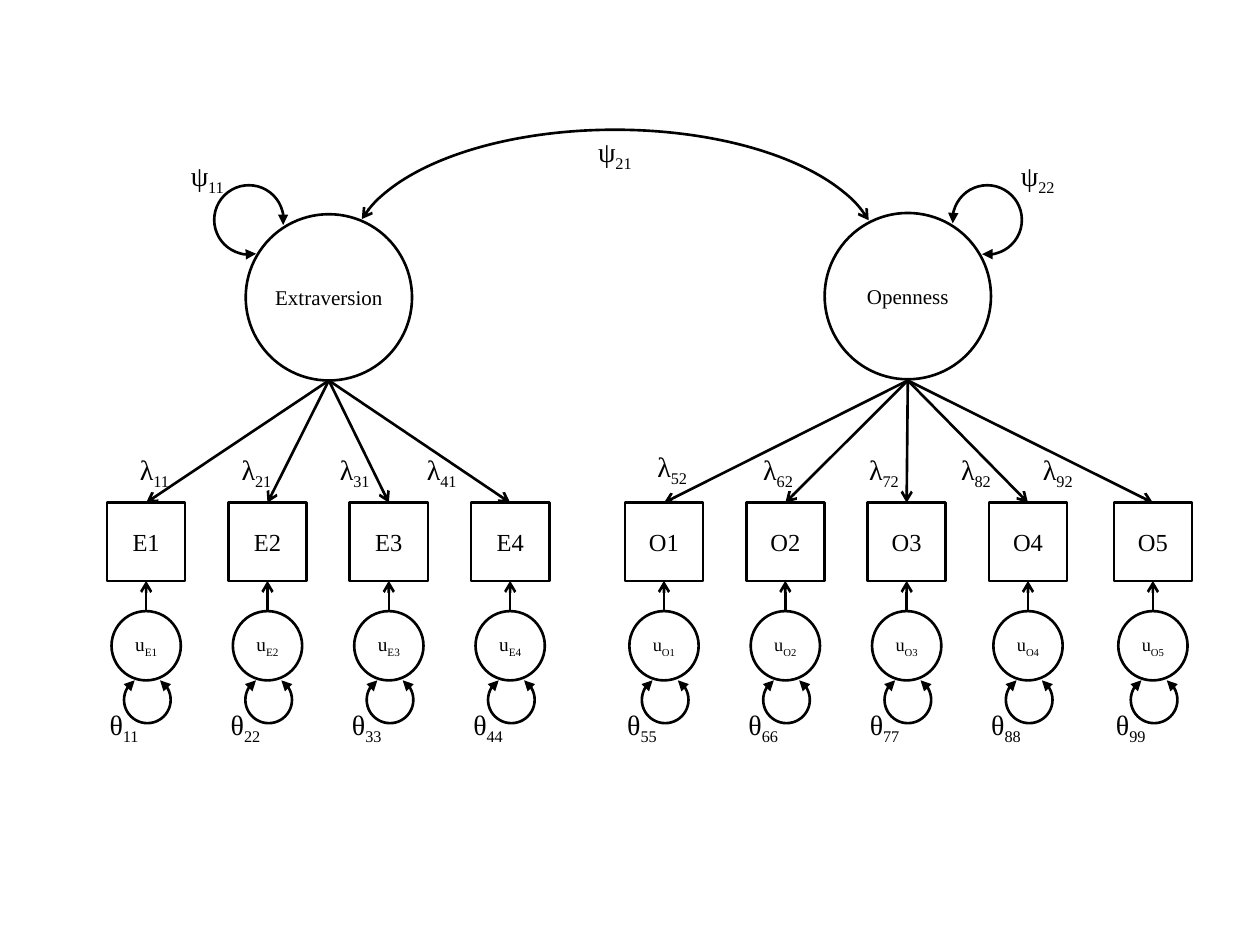
from lxml.etree import SubElement
from pptx import Presentation
from pptx.dml.color import RGBColor
from pptx.enum.shapes import MSO_CONNECTOR as CONN, MSO_SHAPE as SHAPE
from pptx.enum.text import MSO_ANCHOR as ANCHOR, MSO_AUTO_SIZE as AUTO, PP_ALIGN as ALIGN
from pptx.oxml.ns import qn
from pptx.util import Inches, Pt

COLORS = {"ink": "000000", "paper": "FFFFFF"}
FONT = "Times New Roman"
COLS, ROWS = 100, 75


def write(tf, text, sub="", size=16):
    tf.word_wrap = False
    p = tf.paragraphs[0]
    p.alignment = ALIGN.CENTER
    for part, baseline in ((text, None), (sub, "-25000")):
        if not part:
            continue
        r = p.add_run()
        r.text = part
        r.font.name, r.font.size = FONT, Pt(size)
        r.font.color.rgb = RGBColor.from_string(COLORS["ink"])
        if baseline:
            r.font._element.set("baseline", baseline)


class PathDiagram:
    def __init__(self, prs):
        self.slide = prs.slides.add_slide(prs.slide_layouts[6])
        self.shapes = self.slide.shapes
        self.cell_w = prs.slide_width / COLS
        self.cell_h = prs.slide_height / ROWS

    def start_group(self):
        self.shapes = self.slide.shapes.add_group_shape().shapes

    def end_group(self):
        self.shapes = self.slide.shapes

    def point(self, col, row):
        return round(col * self.cell_w), round(row * self.cell_h)

    def centred(self, col, row, w, h):
        return *self.point(col - w / 2, row - h / 2), *self.point(w, h)

    def stroke(self, sp, head=None, tail=None):
        sp.line.color.rgb = RGBColor.from_string(COLORS["ink"])
        sp.line.width = Pt(1.5)
        ln = sp.line._get_or_add_ln()
        for tag, kind in (("a:headEnd", head), ("a:tailEnd", tail)):
            if kind:
                SubElement(ln, qn(tag)).set("type", kind)

    def node(self, shape, col, row, size, text, sub="", font_size=14, inset=0.1):
        sp = self.shapes.add_shape(shape, *self.centred(col, row, size, size))
        sp.shadow.inherit = False
        sp.fill.solid()
        sp.fill.fore_color.rgb = RGBColor.from_string(COLORS["paper"])
        self.stroke(sp)
        tf = sp.text_frame
        tf.vertical_anchor = ANCHOR.MIDDLE
        tf.margin_left = tf.margin_right = Inches(inset)
        write(tf, text, sub, font_size)

    def arc(self, col, row, w, h, angles, rotation=0, ends="triangle"):
        sp = self.shapes.add_shape(SHAPE.ARC, *self.centred(col, row, w, h))
        sp.shadow.inherit = False
        sp.fill.background()
        sp.rotation = rotation
        sp.adjustments[0], sp.adjustments[1] = angles
        self.stroke(sp, ends, ends)

    def arrow(self, start, end):
        sp = self.shapes.add_connector(CONN.STRAIGHT, *self.point(*start), *self.point(*end))
        self.stroke(sp, tail="arrow")
        SubElement(sp._element.spPr, qn("a:effectLst"))

    def label(self, col, top, symbol, sub, w=5.1, h=3.7):
        sp = self.shapes.add_textbox(*self.centred(col, top + h / 2, w, h))
        write(sp.text_frame, symbol, sub)
        sp.text_frame.auto_size = AUTO.SHAPE_TO_FIT_TEXT

    def indicator(self, col, name, theta, font_size, theta_h):
        self.node(SHAPE.RECTANGLE, col, 43, 6.2, name)
        self.arrow((col, 48.5), (col, 46.1))
        self.node(SHAPE.OVAL, col, 51.25, 5.5, "u", name, font_size)
        self.arc(col + 0.1, 55.55, 3.7, 3.7, (181.77, 142.28))
        self.label(col - 1.75, 55.7, "θ", theta, w=4.6, h=theta_h)

    def factor(self, name, col, row, number, loop, psi_col, items, loadings, first, u_size, theta_h):
        for item_col in items:
            self.arrow((col, 30.2), (item_col, 39.9))
        self.node(SHAPE.OVAL, col, row, 13.2, name, font_size=12, inset=0)
        loop_col, rotation, angles = loop
        self.arc(loop_col, 17.45, 5.5, 5.5, angles, rotation)
        self.label(psi_col, 12.1, "ψ", f"{number}{number}")
        for i, (label_col, top) in enumerate(loadings, first):
            self.label(label_col, top, "λ", f"{i}{number}")
        self.start_group()
        for i, item_col in enumerate(items):
            theta = f"{first + i}{first + i}"
            self.indicator(item_col, f"{name[0]}{i + 1}", theta, u_size, theta_h)
        self.end_group()


def main():
    prs = Presentation()
    prs.slide_width, prs.slide_height = Inches(10), Inches(7.5)
    d = PathDiagram(prs)
    step = 9.63
    d.factor("Extraversion", 26.1, 23.6, 1, (19.75, 135, (181.77, 140.1)), 16.45,
             items=[11.6 + step * i for i in range(4)],
             loadings=[(c, 35.4) for c in (12.25, 20.35, 28.15, 35.05)],
             first=1, u_size=11, theta_h=6.4)
    d.factor("Openness", 72.05, 23.5, 2, (78.35, 225, (185.61, 140.1)), 82.35,
             items=[52.7 + step * i for i in range(4)] + [91.5],
             loadings=[(53.35, 35.2)] + [(c, 35.4) for c in (61.75, 70.15, 77.45, 83.95)],
             first=5, u_size=10.5, theta_h=3.7)
    d.arc(48.8, 20.1, 41.8, 19.6, (112.6, 211.57), ends="arrow")
    d.label(48.8, 10.2, "ψ", "21", w=5.4)
    prs.save("out.pptx")


if __name__ == "__main__":
    main()
